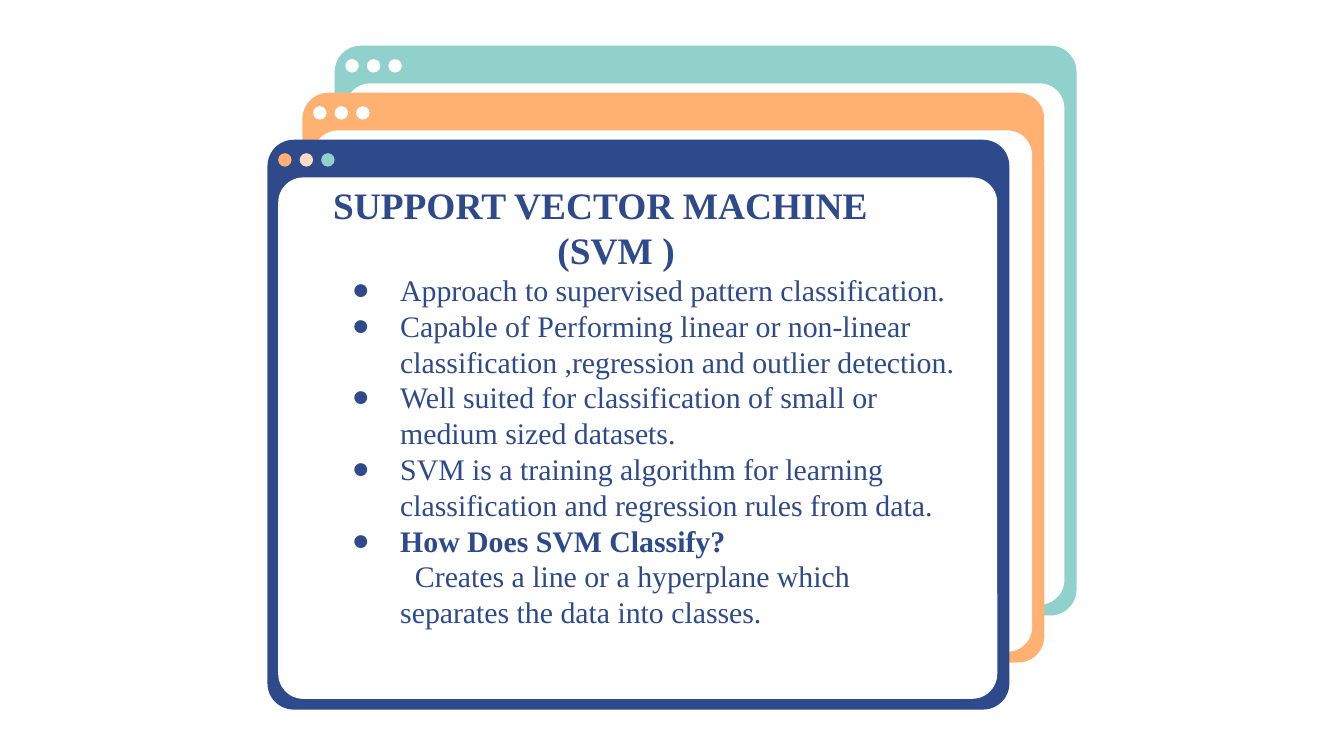
from lxml import etree
from pptx import Presentation
from pptx.dml.color import RGBColor
from pptx.enum import shapes, text
from pptx.oxml import ns
from pptx.util import Inches, Pt

NAVY = RGBColor(0x2F, 0x4A, 0x8A)
TEAL = RGBColor(0x90, 0xD1, 0xCB)
ORANGE = RGBColor(0xFF, 0xB1, 0x72)
PEACH = RGBColor(0xF8, 0xDB, 0xC4)
WHITE = RGBColor(0xFF, 0xFF, 0xFF)
FACE = "Times New Roman"
ROUND = shapes.MSO_SHAPE.ROUNDED_RECTANGLE
OVAL = shapes.MSO_SHAPE.OVAL
WIDE = Inches(10)

WINDOWS = [
    (2.49, 0.34, TEAL, [WHITE] * 3),
    (2.25, 0.69, ORANGE, [WHITE] * 3),
    (1.99, 1.04, NAVY, [ORANGE, PEACH, TEAL]),
]

HEAD = {"size": Pt(20), "bold": True}
BODY = {"size": Pt(16), "bold": False}
STRONG = {"size": Pt(16), "bold": True}

LINES = [
    ("SUPPORT VECTOR MACHINE", HEAD, 0, 0, False),
    ("(SVM )", HEAD, 1.67, 0, False),
    ("Approach to supervised pattern classification.", BODY, 0.5, -0.36, True),
    ("Capable of Performing linear or non-linear classification ,regression "
     "and outlier detection.", BODY, 0.5, -0.36, True),
    ("Well suited for classification of small or medium sized datasets.",
     BODY, 0.5, -0.36, True),
    ("SVM is a training algorithm for learning classification and regression "
     "rules from data.", BODY, 0.5, -0.36, True),
    ("How Does SVM Classify?", STRONG, 0.5, -0.36, True),
    ("Creates a line or a hyperplane which separates the data into classes.",
     BODY, 0.5, 0.11, False),
]


def set_all(obj, values):
    for name, value in values.items():
        setattr(obj, name, value)


def add_form(slide, kind, box, color, adj=None):
    form = slide.shapes.add_shape(kind, *map(Inches, box))
    form.shadow.inherit = False
    form.fill.solid()
    form.fill.fore_color.rgb = color
    form.line.fill.background()
    if adj is not None:
        form.adjustments[0] = adj


def add_window(slide, left, top, color, dots):
    add_form(slide, ROUND, (left, top, 5.52, 4.24), color, 0.046)
    add_form(slide, ROUND, (left + 0.08, top + 0.28, 5.35, 3.88), WHITE, 0.048)
    for i, dot in enumerate(dots):
        box = (left + 0.08 + i * 0.16, top + 0.1, 0.1, 0.1)
        add_form(slide, OVAL, box, dot)


def add_bullet(props):
    tint = etree.SubElement(props, ns.qn("a:buClr"))
    etree.SubElement(tint, ns.qn("a:srgbClr"), val=str(NAVY))
    etree.SubElement(props, ns.qn("a:buFont"), typeface=FACE)
    etree.SubElement(props, ns.qn("a:buChar"), char="●")


def add_line(para, words, style, left, first, bullet):
    para.line_spacing = 1.0
    props = para._p.get_or_add_pPr()
    props.set("marL", str(Inches(left)))
    props.set("indent", str(Inches(first)))
    if bullet:
        add_bullet(props)
    run = para.add_run()
    run.text = words
    set_all(run.font, {"name": FACE, **style})
    run.font.color.rgb = NAVY


def add_text(slide, box, lines):
    frame = slide.shapes.add_textbox(*map(Inches, box)).text_frame
    sides = ("left", "top", "right", "bottom")
    set_all(frame, {f"margin_{side}": Inches(0.1) for side in sides})
    set_all(frame, {"word_wrap": True,
                    "vertical_anchor": text.MSO_ANCHOR.MIDDLE})
    for i, line in enumerate(lines):
        para = frame.add_paragraph() if i else frame.paragraphs[0]
        add_line(para, *line)


def main():
    deck = Presentation()
    set_all(deck, {"slide_width": WIDE, "slide_height": WIDE * 9 // 16})
    slide = deck.slides.add_slide(deck.slide_layouts[6])
    for window in WINDOWS:
        add_window(slide, *window)
    add_text(slide, (2.38, 0.62, 4.9, 4.8), LINES)
    deck.save("out.pptx")


if __name__ == "__main__":
    main()
